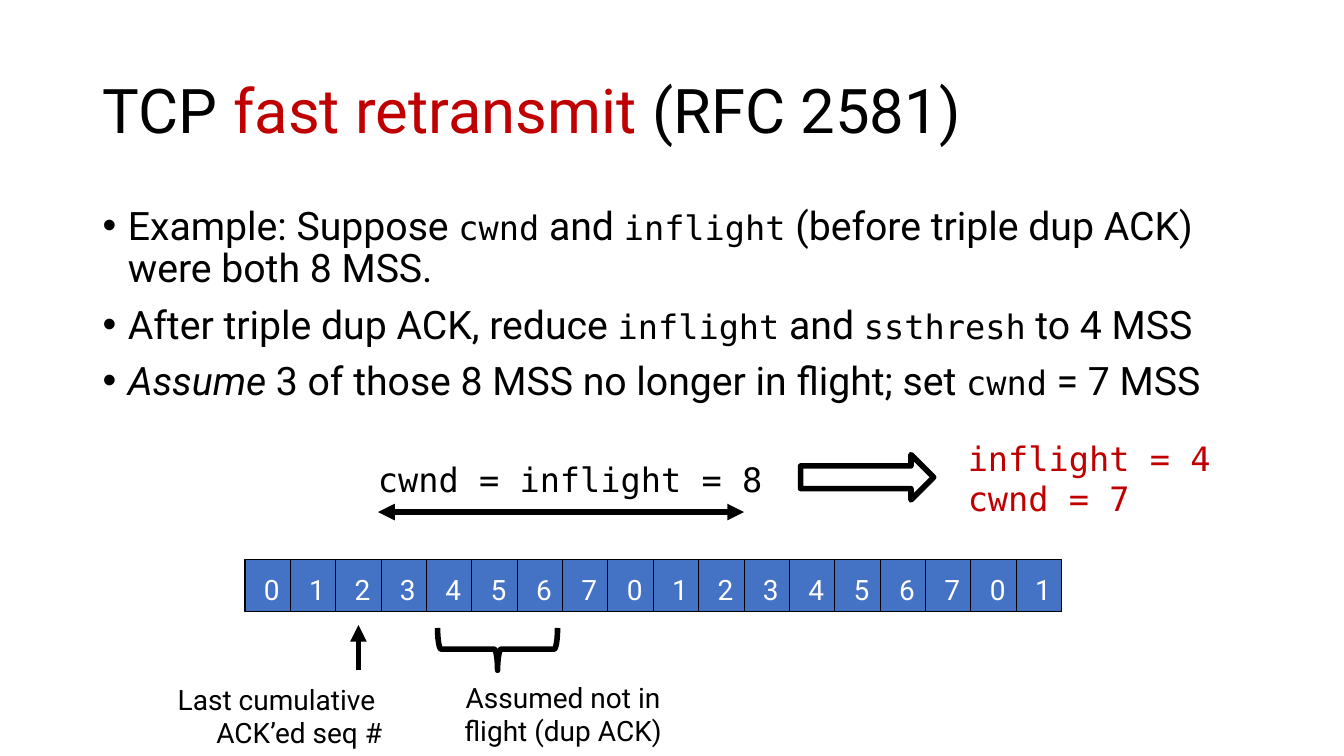
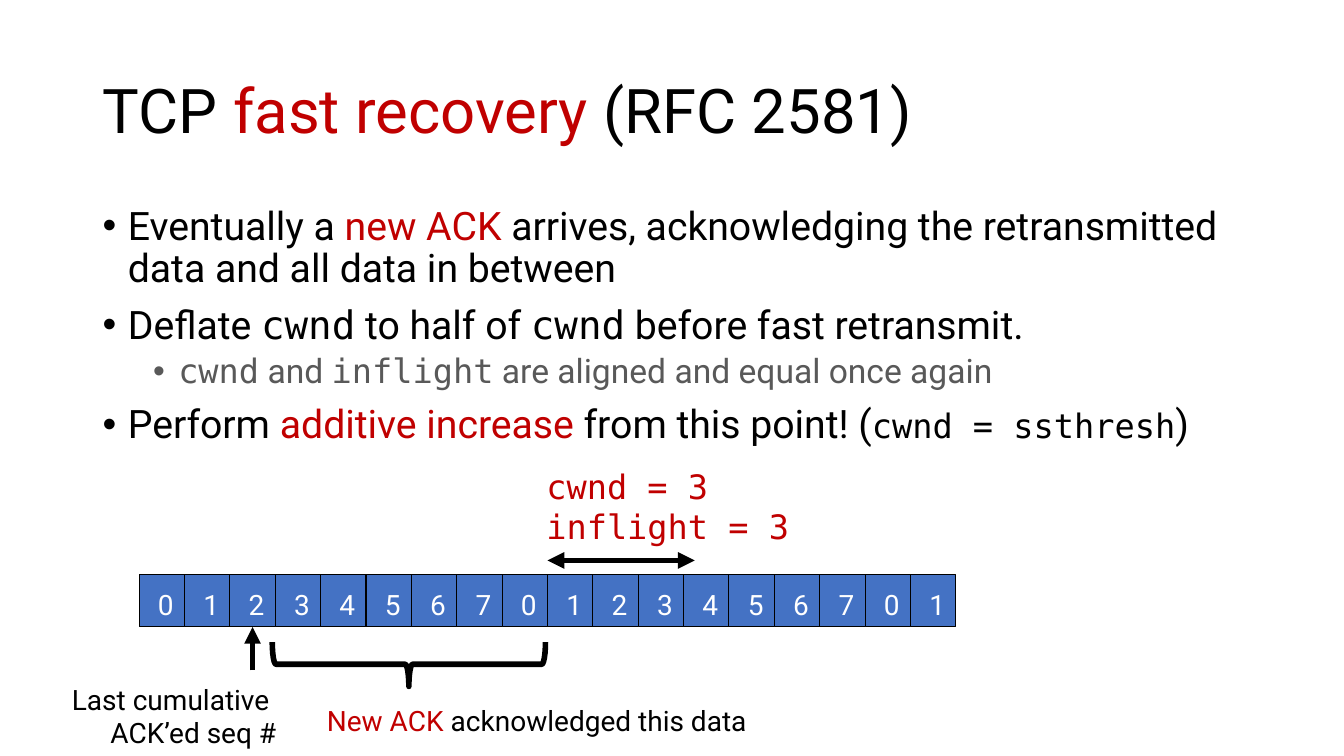
"""Builds two slides on TCP fast retransmit and fast recovery."""
import lxml.etree
import pptx
import pptx.dml.color
import pptx.enum.shapes
import pptx.enum.text
import pptx.oxml.ns
import pptx.util

Inches = pptx.util.Inches
Pt = pptx.util.Pt
RGBColor = pptx.dml.color.RGBColor
Align = pptx.enum.text.PP_ALIGN
Anchor = pptx.enum.text.MSO_ANCHOR
Shape = pptx.enum.shapes.MSO_SHAPE

BLACK = RGBColor(0x00, 0x00, 0x00)
WHITE = RGBColor(0xFF, 0xFF, 0xFF)
RED = RGBColor(0xC0, 0x00, 0x00)
GRAY = RGBColor(0x59, 0x59, 0x59)
BLUE = RGBColor(0x44, 0x72, 0xC4)

SANS = "Roboto"
MONO = "DejaVu Sans Mono"
CODE = {"font": MONO, "size": 24}
LARGE_CODE = {"font": MONO}
HIGHLIGHT = {"color": RED}

SEGMENT_COUNT = 18
SEQUENCE_SPACE = 8
CELL_WIDTH = 0.45
CELL_HEIGHT = 0.52
LAST_ACKED = 2
THICK_LINE = 4


def add_run(paragraph, text, size=20, font=SANS, color=BLACK, italic=False):
    """Append formatted text to a paragraph."""
    run = paragraph.add_run()
    run.text = text
    run.font.size = Pt(size)
    run.font.name = font
    run.font.color.rgb = color
    run.font.italic = italic


def fill_paragraph(paragraph, pieces, **base):
    """Write pieces, each a string or a (string, overrides) pair."""
    for piece in pieces:
        text, overrides = (piece, {}) if isinstance(piece, str) else piece
        add_run(paragraph, text, **{**base, **overrides})


def get_paragraph(frame, index):
    """Return the first paragraph of a frame or append a new one."""
    return frame.add_paragraph() if index else frame.paragraphs[0]


def add_text_box(slide, left, top, width, height):
    """Add a wrapping text box and return its frame."""
    box = slide.shapes.add_textbox(Inches(left), Inches(top), Inches(width), Inches(height))
    box.text_frame.word_wrap = True
    return box.text_frame


def add_label(slide, left, top, width, height, lines, align=Align.LEFT, **base):
    """Add a text box with one paragraph for each line."""
    frame = add_text_box(slide, left, top, width, height)
    for index, pieces in enumerate(lines):
        paragraph = get_paragraph(frame, index)
        paragraph.alignment = align
        fill_paragraph(paragraph, pieces, **base)


def set_bullet(paragraph, margin):
    """Give a paragraph a hanging round bullet."""
    properties = paragraph._p.get_or_add_pPr()
    properties.set("marL", str(Inches(margin)))
    properties.set("indent", str(Inches(-0.25)))
    qn = pptx.oxml.ns.qn
    lxml.etree.SubElement(properties, qn("a:buFont")).set("typeface", "Arial")
    lxml.etree.SubElement(properties, qn("a:buChar")).set("char", "•")


def add_bullets(slide, items):
    """Add the body, whose items are (level, pieces) pairs."""
    frame = add_text_box(slide, 0.92, 2, 11.5, 2.6)
    for index, (level, pieces) in enumerate(items):
        paragraph = get_paragraph(frame, index)
        paragraph.level = level
        set_bullet(paragraph, 0.25 + 0.5 * level)
        paragraph.line_spacing = 0.9
        if index:
            paragraph.space_before = Pt(5 if level else 10)
        style = {"size": 24, "color": GRAY} if level else {"size": 28}
        fill_paragraph(paragraph, pieces, **style)


def add_titled_slide(presentation, topic):
    """Add a slide whose title stresses its topic."""
    slide = presentation.slides.add_slide(presentation.slide_layouts[5])
    title = slide.shapes.title
    title.left, title.top = Inches(0.92), Inches(0.4)
    title.width, title.height = Inches(11.5), Inches(1.45)
    frame = title.text_frame
    frame.auto_size = pptx.enum.text.MSO_AUTO_SIZE.NONE
    frame.vertical_anchor = Anchor.MIDDLE
    paragraph = frame.paragraphs[0]
    paragraph.alignment = Align.LEFT
    paragraph.line_spacing = 0.9
    fill_paragraph(paragraph, ["TCP ", (topic, HIGHLIGHT), " (RFC 2581)"], size=44)
    return slide


def add_preset(slide, kind, left, top, width, height, fill=None, line_width=THICK_LINE):
    """Add a black-outlined preset shape, hollow unless filled."""
    shape = slide.shapes.add_shape(kind, Inches(left), Inches(top), Inches(width), Inches(height))
    shape.shadow.inherit = False
    if fill is None:
        shape.fill.background()
    else:
        shape.fill.solid()
        shape.fill.fore_color.rgb = fill
    shape.line.color.rgb = BLACK
    shape.line.width = Pt(line_width)
    return shape


def add_segments(slide, left, top):
    """Add the row of numbered segments and return its cells."""
    cells = []
    for index in range(SEGMENT_COUNT):
        cell = add_preset(slide, Shape.RECTANGLE, left + index * CELL_WIDTH, top,
                          CELL_WIDTH, CELL_HEIGHT, fill=BLUE, line_width=0.75)
        frame = cell.text_frame
        frame.margin_left, frame.margin_right = Inches(0.08), 0
        frame.margin_top, frame.margin_bottom = Inches(0.07), 0
        frame.vertical_anchor = Anchor.MIDDLE
        paragraph = frame.paragraphs[0]
        paragraph.alignment = Align.CENTER
        add_run(paragraph, str(index % SEQUENCE_SPACE), color=WHITE)
        cells.append(cell)
    return cells


def add_arrow(slide, start, end, both_ends=False):
    """Add a thick straight arrow between two points."""
    points = [Inches(value) for value in (*start, *end)]
    arrow = slide.shapes.add_connector(pptx.enum.shapes.MSO_CONNECTOR.STRAIGHT, *points)
    arrow.line.color.rgb = BLACK
    arrow.line.width = Pt(THICK_LINE)
    line = arrow.line._get_or_add_ln()
    for end_name in ("a:headEnd", "a:tailEnd") if both_ends else ("a:tailEnd",):
        lxml.etree.SubElement(line, pptx.oxml.ns.qn(end_name)).set("type", "triangle")
    lxml.etree.SubElement(arrow._element.spPr, pptx.oxml.ns.qn("a:effectLst"))
    return arrow


def add_last_ack(slide, row_left):
    """Point up at the last acknowledged segment and label it."""
    center = row_left + (LAST_ACKED + 0.5) * CELL_WIDTH
    add_label(slide, row_left - 1.02, 6.72, 2.48, 0.77,
              [["Last cumulative "], ["ACK’ed seq #"]], align=Align.RIGHT)
    return add_arrow(slide, (center, 6.65), (center, 6.2))


def add_brace_below(slide, left, top, width, depth):
    """Add a brace that opens upwards over the given span."""
    brace = add_preset(slide, Shape.RIGHT_BRACE, left + (width - depth) / 2,
                       top - (width - depth) / 2, depth, width)
    brace.rotation = 90


def build_retransmit(presentation):
    """Build the fast retransmit slide."""
    slide = add_titled_slide(presentation, "fast retransmit")
    add_bullets(slide, [
        (0, ["Example: Suppose ", ("cwnd", CODE), " and ", ("inflight", CODE),
             " (before triple dup ACK) were both 8 MSS."]),
        (0, ["After triple dup ACK, reduce ", ("inflight", CODE), " and ",
             ("ssthresh", CODE), " to 4 MSS"]),
        (0, [("Assume", {"italic": True}), " 3 of those 8 MSS no longer in flight; set ",
             ("cwnd", CODE), " = 7 MSS"]),
    ])
    row_left = 2.43
    add_segments(slide, row_left, 5.55)
    add_last_ack(slide, row_left)
    add_label(slide, 3.65, 4.5, 4.49, 0.5, [["cwnd = inflight = 8"]], **CODE)
    add_arrow(slide, (3.75, 5.08), (7.38, 5.08), both_ends=True)
    add_preset(slide, Shape.RIGHT_ARROW, 7.94, 4.51, 1.32, 0.45)
    add_label(slide, 9.5, 4.29, 2.69, 0.91, [["inflight = 4"], ["cwnd = 7"]],
              color=RED, **CODE)
    add_brace_below(slide, 4.34, 6.23, 1.19, 0.42)
    add_label(slide, 4.37, 6.7, 2.43, 0.77, [["Assumed not in flight (dup ACK)"]],
              align=Align.CENTER)


def build_recovery(presentation):
    """Build the fast recovery slide."""
    slide = add_titled_slide(presentation, "fast recovery")
    add_bullets(slide, [
        (0, ["Eventually a ", ("new ACK ", HIGHLIGHT),
             "arrives, acknowledging the retransmitted data and all data in between"]),
        (0, ["Deflate ", ("cwnd", LARGE_CODE), " to half of ", ("cwnd", LARGE_CODE),
             " before fast retransmit."]),
        (1, [("cwnd", CODE), " and ", ("inflight", CODE),
             " are aligned and equal once again"]),
        (0, ["Perform ", ("additive increase ", HIGHLIGHT), "from this point! (",
             ("cwnd = ssthresh", CODE), ")"]),
    ])
    add_label(slide, 5.32, 4.57, 2.69, 0.91, [["cwnd = 3"], ["inflight = 3"]],
              color=RED, **CODE)
    add_arrow(slide, (5.43, 5.56), (6.89, 5.56), both_ends=True)
    row_left = 1.38
    cells = add_segments(slide, row_left, 5.7)
    add_last_ack(slide, row_left).end_connect(cells[LAST_ACKED], 2)
    add_brace_below(slide, 2.7, 6.37, 2.71, 0.44)
    add_label(slide, 2.91, 6.93, 4.83, 0.44,
              [[("New ACK ", HIGHLIGHT), "acknowledged this data"]], align=Align.CENTER)


def main():
    """Build and save the presentation."""
    presentation = pptx.Presentation()
    presentation.slide_width = Inches(13.33)
    presentation.slide_height = Inches(7.5)
    build_retransmit(presentation)
    build_recovery(presentation)
    presentation.save("out.pptx")


if __name__ == "__main__":
    main()
